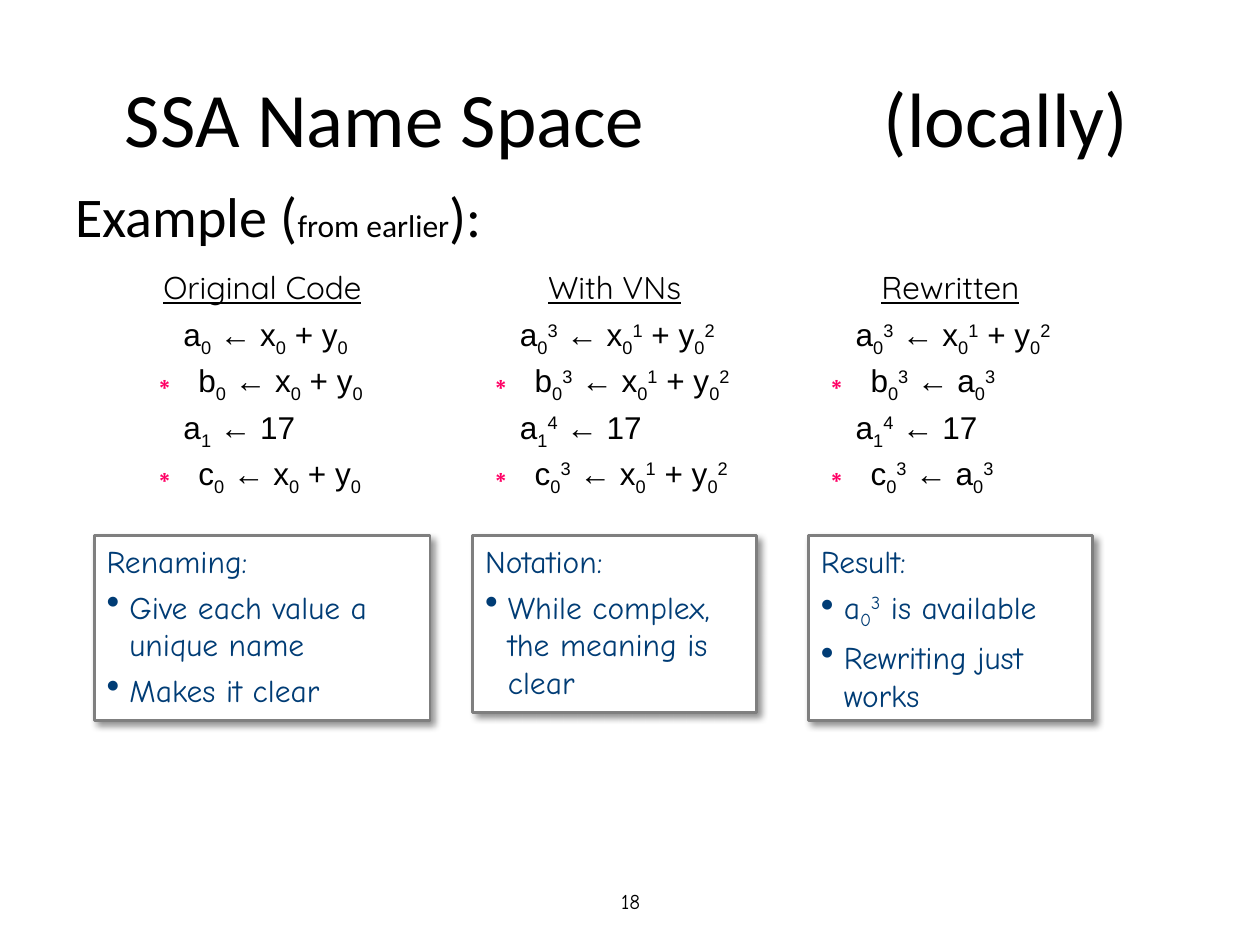
from dataclasses import dataclass
from typing import Optional

from lxml.etree import SubElement
from pptx import Presentation
from pptx.dml.color import RGBColor
from pptx.enum.shapes import MSO_SHAPE as Shape
from pptx.enum.text import MSO_ANCHOR as Anchor, PP_ALIGN as Align
from pptx.oxml.ns import qn
from pptx.util import Cm, Pt


@dataclass(frozen=True)
class Theme:
    black: str = "000000"
    white: str = "FFFFFF"
    navy: str = "003C75"
    gray: str = "7F7F7F"
    pink: str = "FF0065"
    body_font: str = "Calibri"
    head_font: str = "Quicksand"
    code_font: str = "Arial"
    note_font: str = "Comic Neue"
    title_size: float = 44
    lead_size: float = 32
    text_size: float = 18
    page_size: float = 12


@dataclass(frozen=True)
class Area:
    left: float
    top: float
    width: float
    height: float


@dataclass(frozen=True)
class Column:
    heading: str
    code: list[str]
    code_area: Area
    note: str
    points: list[str]
    note_area: Area


THEME = Theme()
STAR = "∗"
CODE_TOP, CODE_HEIGHT = 5.28, 4.52
NOTE_TOP = 10.8
BASELINES = {"_": "-25000", "^": "30000"}

COLUMNS = [
    Column(
        "Original Code",
        ["a_0 ← x_0 + y_0", "∗b_0 ← x_0 + y_0", "a_1 ← 17", "∗c_0 ← x_0 + y_0"],
        Area(2.75, CODE_TOP, 5.08, CODE_HEIGHT),
        "Renaming:",
        ["Give each value a unique name", "Makes it clear"],
        Area(1.9, NOTE_TOP, 6.77, 3.73),
    ),
    Column(
        "With VNs",
        ["a_0^3 ← x_0^1 + y_0^2", "∗b_0^3 ← x_0^1 + y_0^2",
         "a_1^4 ← 17", "∗c_0^3 ← x_0^1 + y_0^2"],
        Area(9.53, CODE_TOP, 5.72, CODE_HEIGHT),
        "Notation:",
        ["While complex, the meaning is clear"],
        Area(9.53, NOTE_TOP, 5.72, 3.56),
    ),
    Column(
        "Rewritten",
        ["a_0^3 ← x_0^1 + y_0^2", "∗b_0^3 ← a_0^3", "a_1^4 ← 17", "∗c_0^3 ← a_0^3"],
        Area(16.3, CODE_TOP, 5.72, CODE_HEIGHT),
        "Result:",
        ["a_0^3 is available", "Rewriting just works"],
        Area(16.3, NOTE_TOP, 5.72, 3.73),
    ),
]


def lengths(area: Area) -> tuple:
    return Cm(area.left), Cm(area.top), Cm(area.width), Cm(area.height)


def add_text_frame(page, area: Area, anchor=Anchor.TOP):
    frame = page.shapes.add_textbox(*lengths(area)).text_frame
    frame.word_wrap = True
    frame.vertical_anchor = anchor
    return frame


def add_span(para, text: str, size: Optional[float] = None, color: Optional[str] = None,
             baseline: Optional[str] = None) -> None:
    span = para.add_run()
    span.text = text
    if size:
        span.font.size = Pt(size)
    if color:
        span.font.color.rgb = RGBColor.from_string(color)
    if baseline:
        span.font._element.set("baseline", baseline)


def add_indexed(para, text: str) -> None:
    plain = ""
    marks = iter(text)
    for mark in marks:
        if mark in BASELINES:
            if plain:
                add_span(para, plain)
            add_span(para, next(marks), baseline=BASELINES[mark])
            plain = ""
        else:
            plain += mark
    if plain:
        add_span(para, plain)


def set_font(para, name: str, size: float, color: str) -> None:
    para.font.name = name
    para.font.size = Pt(size)
    para.font.color.rgb = RGBColor.from_string(color)


def set_indent(para, left: float, first: float = 0) -> None:
    properties = para._p.get_or_add_pPr()
    properties.set("marL", str(Cm(left)))
    properties.set("indent", str(Cm(first)))


def add_tab_stop(para, position: float) -> None:
    tabs = SubElement(para._p.get_or_add_pPr(), qn("a:tabLst"))
    SubElement(tabs, qn("a:tab"), pos=str(Cm(position)), algn="l")


def add_bullet(para, color: str) -> None:
    properties = para._p.get_or_add_pPr()
    SubElement(SubElement(properties, qn("a:buClr")), qn("a:srgbClr"), val=color)
    SubElement(properties, qn("a:buSzPct"), val="120000")
    SubElement(properties, qn("a:buChar"), char="•")


def add_shadow(box) -> None:
    box.shadow.inherit = False
    effects = box._element.spPr.find(qn("a:effectLst"))
    shadow = SubElement(effects, qn("a:outerShdw"), blurRad=str(Pt(4)), dist=str(Pt(3)),
                        dir="2700000", algn="tl", rotWithShape="0")
    color = SubElement(shadow, qn("a:srgbClr"), val=THEME.black)
    SubElement(color, qn("a:alpha"), val="43000")


def draw_code(page, column: Column) -> None:
    frame = add_text_frame(page, column.code_area)
    heading = frame.paragraphs[0]
    heading.alignment = Align.CENTER
    heading.space_after = Pt(3.6)
    add_span(heading, column.heading)
    set_font(heading, THEME.head_font, THEME.text_size, THEME.black)
    heading.font.underline = True
    for line in column.code:
        para = frame.add_paragraph()
        para.space_before = Pt(1.8)
        if line.startswith(STAR):
            add_tab_stop(para, 1)
            add_span(para, STAR, color=THEME.pink)
            add_span(para, "\t")
        else:
            set_indent(para, 0.7)
        add_indexed(para, line.removeprefix(STAR))
        set_font(para, THEME.code_font, THEME.text_size, THEME.black)


def draw_note(page, column: Column) -> None:
    box = page.shapes.add_shape(Shape.RECTANGLE, *lengths(column.note_area))
    box.fill.solid()
    box.fill.fore_color.rgb = RGBColor.from_string(THEME.white)
    box.line.color.rgb = RGBColor.from_string(THEME.gray)
    box.line.width = Pt(1.5)
    add_shadow(box)
    frame = box.text_frame
    frame.word_wrap = True
    frame.vertical_anchor = Anchor.TOP
    for index, text in enumerate([column.note, *column.points]):
        para = frame.add_paragraph() if index else frame.paragraphs[0]
        para.alignment = Align.LEFT
        set_indent(para, 0.46, -0.46)
        if index:
            para.space_before = Pt(4.5)
            add_bullet(para, THEME.navy)
        add_indexed(para, text)
        set_font(para, THEME.note_font, THEME.text_size, THEME.navy)


def main() -> None:
    deck = Presentation()
    deck.slide_width, deck.slide_height = Cm(25.4), Cm(19.05)
    page = deck.slides.add_slide(deck.slide_layouts[6])

    frame = add_text_frame(page, Area(1.27, 0.76, 22.86, 3.18), Anchor.MIDDLE)
    frame.margin_left = Cm(1.25)
    title = frame.paragraphs[0]
    add_tab_stop(title, 15.3)
    add_span(title, "SSA Name Space\t(locally)")
    set_font(title, THEME.body_font, THEME.title_size, THEME.black)

    lead = add_text_frame(page, Area(1.27, 3.53, 22.86, 12.57)).paragraphs[0]
    add_span(lead, "Example (")
    add_span(lead, "from earlier", size=THEME.text_size)
    add_span(lead, "):")
    set_font(lead, THEME.body_font, THEME.lead_size, THEME.black)

    for column in COLUMNS:
        draw_code(page, column)
        draw_note(page, column)

    number = add_text_frame(page, Area(8.69, 17.65, 8.05, 1.02), Anchor.MIDDLE).paragraphs[0]
    number.alignment = Align.CENTER
    add_span(number, "18")
    set_font(number, THEME.note_font, THEME.page_size, THEME.black)

    deck.save("out.pptx")


if __name__ == "__main__":
    main()
